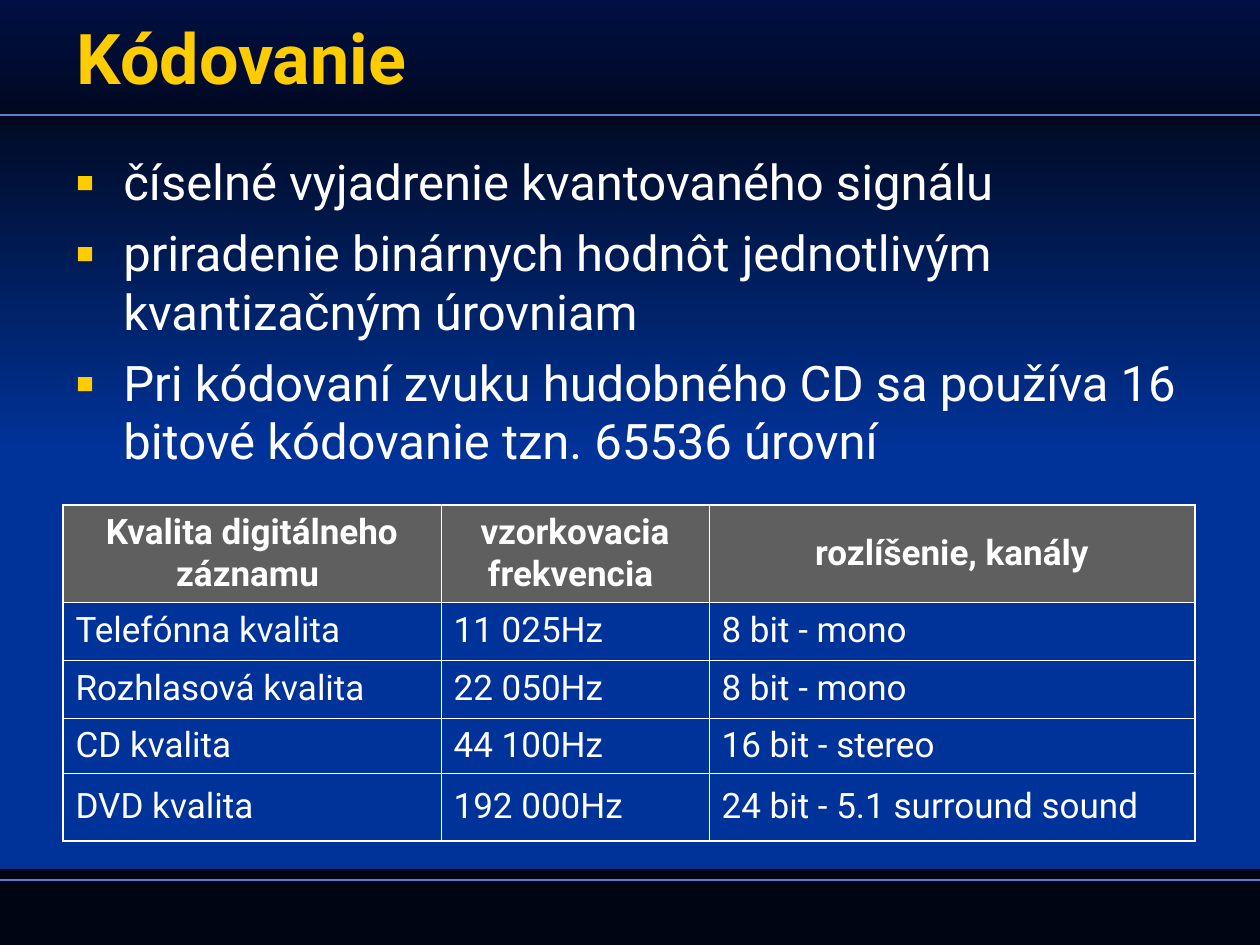
from lxml import etree
from pptx import Presentation
from pptx import util as u
from pptx.dml.color import RGBColor
from pptx.enum import shapes, text
from pptx.oxml.ns import qn

SCALE = 914400 / 126  # EMU per px
FONT = "Roboto"
WHITE, YELLOW, BLUE, GREY = "FFFFFF", "FFCC00", "003399", "5F5F5F"
NIGHT, RULE = "000514", "5980CF"

TITLE = "Kódovanie"
BULLETS = [
    "číselné vyjadrenie kvantovaného signálu",
    "priradenie binárnych hodnôt jednotlivým kvantizačným úrovniam",
    "Pri kódovaní zvuku hudobného CD sa používa 16 bitové kódovanie tzn. 65536 úrovní",
]
ROWS = [
    ("Kvalita digitálneho záznamu ", "vzorkovacia frekvencia ", "rozlíšenie, kanály"),
    ("Telefónna kvalita", "11 025Hz", "8 bit - mono"),
    ("Rozhlasová kvalita", "22 050Hz", "8 bit - mono"),
    ("CD kvalita", "44 100Hz", "16 bit - stereo"),
    ("DVD kvalita", "192 000Hz", "24 bit - 5.1 surround sound"),
]
COLUMN_WIDTHS = [378, 268, 486]
ROW_HEIGHTS = [97, 58, 58, 55, 68]
# top, height, colours from top to bottom
BANDS = [(869, 76, [NIGHT]), (66, 388, [NIGHT, BLUE]), (0, 125, ["001042", "00071E"])]
RULES = [115, 880]


def px(*values):
    return [u.Emu(round(value * SCALE)) for value in values]


def color(code):
    return RGBColor.from_string(code)


def style(para, size, code, bold=False):
    for span in para.runs:
        span.font.name = FONT
        span.font.size = u.Pt(size)
        span.font.bold = bold
        span.font.color.rgb = color(code)


def add_band(page, top, height, colors):
    band = page.shapes.add_shape(shapes.MSO_SHAPE.RECTANGLE, *px(0, top, 1260, height))
    band.shadow.inherit = False
    band.line.fill.background()
    if len(colors) == 1:
        band.fill.solid()
        band.fill.fore_color.rgb = color(colors[0])
    else:
        band.fill.gradient()
        band.fill.gradient_angle = 270
        for stop, code in zip(band.fill.gradient_stops, colors):
            stop.color.rgb = color(code)


def add_rule(page, top):
    rule = page.shapes.add_connector(shapes.MSO_CONNECTOR.STRAIGHT, *px(0, top, 1260, top))
    rule.line.color.rgb = color(RULE)
    rule.line.width = u.Pt(1)
    etree.SubElement(rule._element.spPr, qn("a:effectLst"))


def add_bullet(para):
    props = para._p.get_or_add_pPr()
    indent = px(48)[0]
    props.set("marL", str(indent))
    props.set("indent", str(-indent))
    bullet_color = etree.SubElement(props, qn("a:buClr"))
    etree.SubElement(bullet_color, qn("a:srgbClr"), val=YELLOW)
    etree.SubElement(props, qn("a:buFont"), typeface=FONT)
    etree.SubElement(props, qn("a:buChar"), char="▪")


def add_borders(cell, outer):
    props = cell._tc.get_or_add_tcPr()
    for side in "LRTB":
        width = u.Pt(1.08 if side in outer else 0.45)
        line = etree.SubElement(props, qn("a:ln" + side), w=str(width))
        fill = etree.SubElement(line, qn("a:solidFill"))
        etree.SubElement(fill, qn("a:srgbClr"), val=WHITE)


def add_quality_table(page):
    row_count, column_count = len(ROWS), len(COLUMN_WIDTHS)
    frame = page.shapes.add_table(
        row_count, column_count, *px(63, 505, sum(COLUMN_WIDTHS), sum(ROW_HEIGHTS)))
    table = frame.table
    table.horz_banding = False
    for column, width in zip(table.columns, px(*COLUMN_WIDTHS)):
        column.width = width
    for row, height in zip(table.rows, px(*ROW_HEIGHTS)):
        row.height = height
    for r, values in enumerate(ROWS):
        for c, value in enumerate(values):
            cell = table.cell(r, c)
            header = r == 0
            cell.text_frame.text = value
            cell.vertical_anchor = text.MSO_ANCHOR.MIDDLE
            para = cell.text_frame.paragraphs[0]
            para.alignment = text.PP_ALIGN.CENTER if header else text.PP_ALIGN.LEFT
            style(para, 20, WHITE, bold=header)
            edges = {"L": c == 0, "R": c == column_count - 1,
                     "T": header, "B": r == row_count - 1}
            add_borders(cell, [side for side, is_outer in edges.items() if is_outer])
            if header:
                cell.fill.solid()
                cell.fill.fore_color.rgb = color(GREY)
            else:
                cell.fill.background()


def main():
    deck = Presentation()
    deck.slide_width, deck.slide_height = px(1260, 945)
    page = deck.slides.add_slide(deck.slide_layouts[5])

    # Backdrop
    page.background.fill.solid()
    page.background.fill.fore_color.rgb = color(BLUE)
    for band in BANDS:
        add_band(page, *band)
    for top in RULES:
        add_rule(page, top)

    # Title, raised above the bands
    title = page.shapes.title
    page.shapes._spTree.append(title._element)
    title.left, title.top, title.width, title.height = px(64, 8, 1134, 97)
    title.text_frame.text = TITLE
    title.text_frame.vertical_anchor = text.MSO_ANCHOR.MIDDLE
    title.text_frame.paragraphs[0].alignment = text.PP_ALIGN.LEFT
    style(title.text_frame.paragraphs[0], 40, YELLOW, bold=True)

    # Bullets
    box = page.shapes.add_textbox(*px(63, 145, 1134, 339))
    box.text_frame.word_wrap = True
    box.text_frame.text = "\n".join(BULLETS)
    for index, para in enumerate(box.text_frame.paragraphs):
        add_bullet(para)
        if index:
            para.space_before = u.Pt(7)
        style(para, 28, WHITE)

    # Table
    add_quality_table(page)
    deck.save("out.pptx")


if __name__ == "__main__":
    main()
